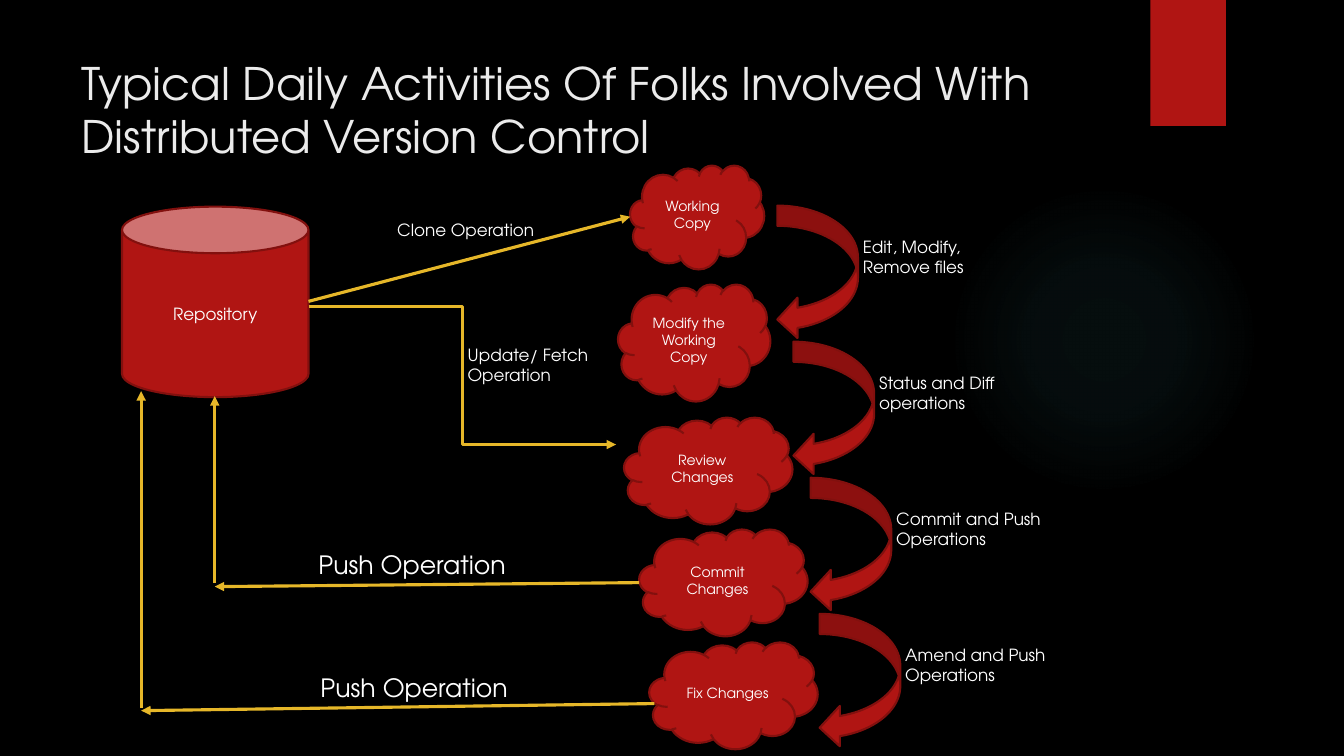
from lxml import etree
from pptx import Presentation
from pptx.dml.color import RGBColor
from pptx.enum.shapes import MSO_CONNECTOR, MSO_SHAPE
from pptx.enum.text import MSO_ANCHOR, MSO_AUTO_SIZE, PP_ALIGN
from pptx.oxml import parse_xml
from pptx.oxml.ns import nsdecls, qn
from pptx.util import Inches, Pt

RECTANGLE, OVAL = MSO_SHAPE.RECTANGLE, MSO_SHAPE.OVAL
CAN, CLOUD = MSO_SHAPE.CAN, MSO_SHAPE.CLOUD
CURVED_ARROW = MSO_SHAPE.CURVED_LEFT_ARROW
STRAIGHT, ELBOW = MSO_CONNECTOR.STRAIGHT, MSO_CONNECTOR.ELBOW
MIDDLE, CENTER, LEFT = MSO_ANCHOR.MIDDLE, PP_ALIGN.CENTER, PP_ALIGN.LEFT
GROW = MSO_AUTO_SIZE.SHAPE_TO_FIT_TEXT

FONT = "TeX Gyre Adventor"
COLORS = {
    "background": "000000",
    "title": "EBEBEB",
    "text": "FFFFFF",
    "red": "B01513",
    "outline": "82100E",
    "flow": "E6B729",
    "glow": "50B9C1",
}


class WorkflowSlide:
    """Draws the elements of the workflow diagram on one slide."""

    def __init__(self, page):
        self.page = page
        background = page.background.fill
        background.solid()
        background.fore_color.rgb = self.color("background")

    def color(self, name):
        return RGBColor.from_string(COLORS[name])

    def set_text(self, frame, text, size, color="text", align=LEFT):
        frame.text = text
        for para in frame.paragraphs:
            para.alignment = align
            for span in para.runs:
                span.font.name = FONT
                span.font.size = Pt(size)
                span.font.color.rgb = self.color(color)

    def shape(self, kind, place, text="", size=10, outlined=True):
        shape = self.page.shapes.add_shape(kind, *map(Inches, place))
        shape.shadow.inherit = False
        shape.fill.solid()
        shape.fill.fore_color.rgb = self.color("red")
        if outlined:
            shape.line.color.rgb = self.color("outline")
            shape.line.width = Pt(1.5)
        else:
            shape.line.fill.background()
        if text:
            shape.text_frame.vertical_anchor = MIDDLE
            self.set_text(shape.text_frame, text, size, align=CENTER)
        return shape

    def glow(self, place):
        shape = self.shape(OVAL, place, outlined=False)
        stops = "".join(
            f'<a:gs pos="{position * 1000}"><a:srgbClr val="{COLORS["glow"]}">'
            f'<a:alpha val="{alpha * 1000}"/></a:srgbClr></a:gs>'
            for position, alpha in ((0, 7), (36, 6), (69, 0))
        )
        gradient = parse_xml(
            f'<a:gradFill {nsdecls("a")}><a:gsLst>{stops}</a:gsLst><a:path path="circle">'
            '<a:fillToRect l="50000" t="50000" r="50000" b="50000"/></a:path></a:gradFill>'
        )
        properties = shape.element.spPr
        properties.replace(properties.find(qn("a:solidFill")), gradient)

    def label(self, place, text, size=12, color="text", wrap=False):
        box = self.page.shapes.add_textbox(*map(Inches, place))
        frame = box.text_frame
        frame.word_wrap = wrap
        if not wrap:
            frame.auto_size = GROW
        self.set_text(frame, text, size, color)

    def flow(self, start, end, kind=STRAIGHT):
        connector = self.page.shapes.add_connector(kind, *map(Inches, start + end))
        connector.line.color.rgb = self.color("flow")
        connector.line.width = Pt(2.25)
        properties = connector.element.spPr
        etree.SubElement(properties.find(qn("a:ln")), qn("a:tailEnd"), type="triangle")
        etree.SubElement(properties, qn("a:effectLst"))


def main():
    deck = Presentation()
    deck.slide_width, deck.slide_height = Inches(13.33), Inches(7.5)
    slide = WorkflowSlide(deck.slides.add_slide(deck.slide_layouts[6]))

    slide.glow((9.41, 1.83, 3.08, 3.08))
    slide.shape(RECTANGLE, (11.41, 0, 0.75, 1.25), outlined=False)
    title = "Typical Daily Activities Of Folks Involved With Distributed Version Control"
    slide.label((0.71, 0.5, 10.29, 1.21), title, 32, "title", wrap=True)
    slide.shape(CAN, (1.21, 2.05, 1.85, 1.89), "Repository", 12)

    stages = [
        ((6.25, 1.64, 1.33, 1.03), "Working Copy"),
        ((6.13, 2.82, 1.51, 1.16), "Modify the Working Copy"),
        ((6.19, 4.14, 1.67, 1.06), "Review Changes"),
        ((6.34, 5.25, 1.67, 1.06), "Commit Changes"),
        ((6.44, 6.37, 1.67, 1.06), "Fix Changes"),
    ]
    for place, text in stages:
        slide.shape(CLOUD, place, text)

    steps = [
        (7.71, 1.24, "Edit, Modify,\nRemove files"),
        (7.87, 1.42, "Status and Diff\noperations"),
        (8.04, 1.7, "Commit and Push\nOperations"),
        (8.13, 1.66, "Amend and Push\nOperations"),
    ]
    for index, (left, width, text) in enumerate(steps):
        top = 2.04 + 1.35 * index
        slide.shape(CURVED_ARROW, (left, top, 0.8, 1.33))
        slide.label((left + 0.75, top + 0.26, width, 0.5), text)

    slide.flow((3.06, 2.99), (6.25, 2.15))
    slide.flow((3.06, 3.04), (6.11, 4.41), ELBOW)
    slide.flow((6.34, 5.78), (2.13, 5.82))
    slide.flow((2.13, 5.78), (2.13, 3.93))
    slide.flow((6.49, 6.98), (1.4, 7.05))
    slide.flow((1.4, 7.02), (1.4, 3.88))

    slide.label((3.84, 2.13, 1.58, 0.3), "Clone Operation")
    slide.label((4.54, 3.37, 1.45, 0.5), "Update/ Fetch\nOperation")
    for left, top in ((3.06, 5.4), (3.08, 6.62)):
        slide.label((left, top, 2.09, 0.4), "Push Operation", 18)

    deck.save("out.pptx")


if __name__ == "__main__":
    main()
